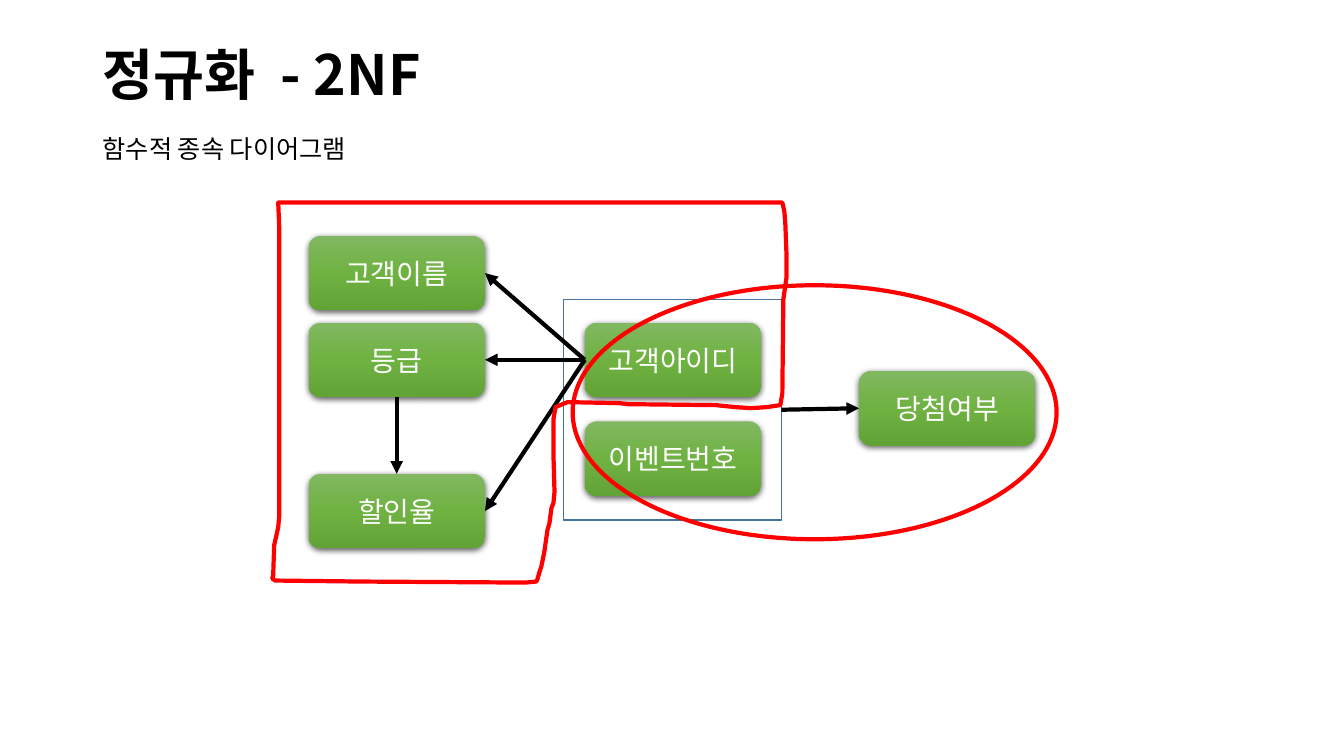
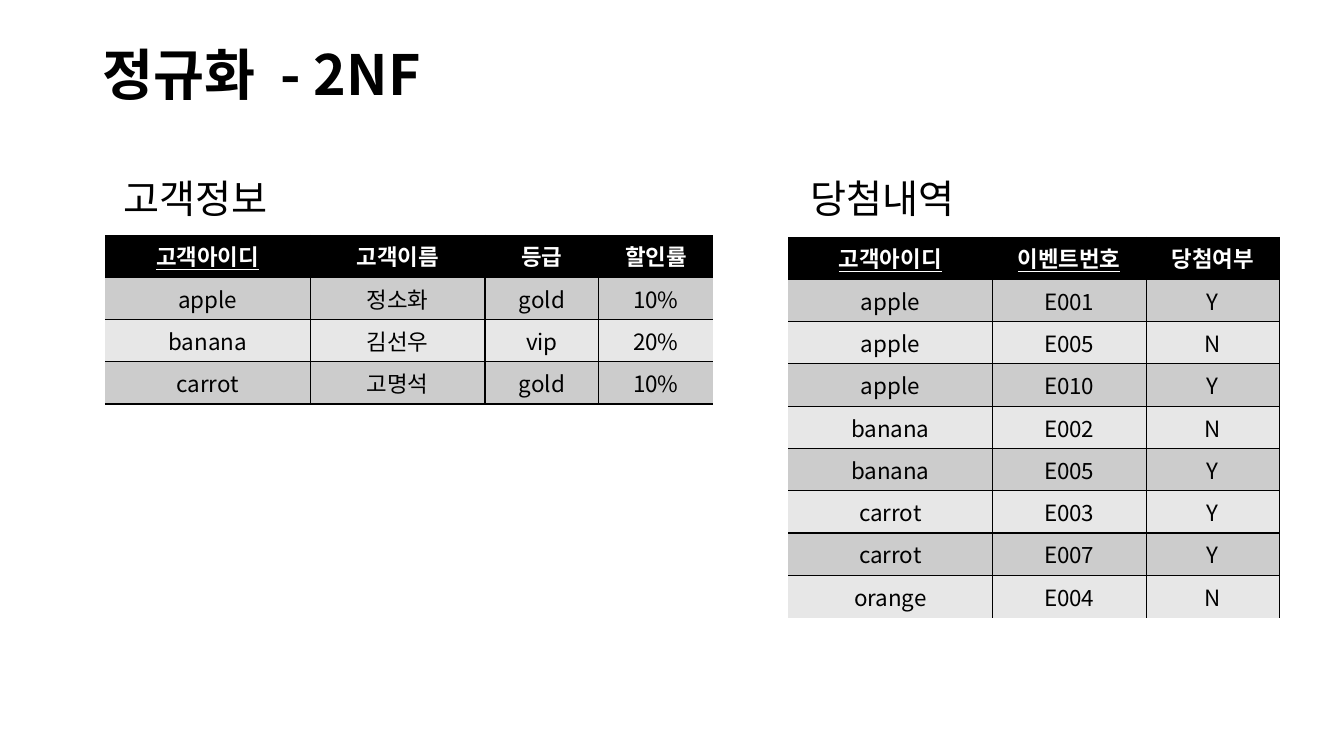
"""Build two slides on second normal form: a dependency diagram and its tables."""
from lxml.etree import SubElement
from pptx import Presentation
from pptx.dml.color import RGBColor
from pptx.enum.shapes import MSO_CONNECTOR, MSO_SHAPE
from pptx.enum.text import MSO_ANCHOR, PP_ALIGN
from pptx.oxml.ns import qn
from pptx.util import Inches, Pt

FONT = "Noto Sans CJK KR"
HEX = {
    "ink": "000000", "paper": "FFFFFF", "red": "FF0000", "frame": "43739E",
    "odd": "CCCCCC", "even": "E7E7E7",
    "top": "81B861", "mid": "6FB242", "low": "62A336",
}
SHADES = [(0, "top"), (50, "mid"), (100, "low")]

TITLE = ["정규화", " ", "- 2NF"]
NOTE = "함수적 종속 다이어그램"

WIDE, HIGH = 1.75, 0.74
LEFT, MID, RIGHT = 3.06, 5.8, 8.52
NODES = {
    "고객아이디": (MID, 3.2),
    "이벤트번호": (MID, 4.18),
    "당첨여부": (RIGHT, 3.68),
    "할인율": (LEFT, 4.7),
    "등급": (LEFT, 3.2),
    "고객이름": (LEFT, 2.34),
}
KEY = "복합키"
FRAME = (5.59, 2.97, 2.16, 2.19)
OVAL = (5.68, 2.83, 4.8, 2.52)
SITE = {"top": 0, "left": 1, "low": 2, "right": 3}
ARROWS = [
    (KEY, "right", "당첨여부", "left"),
    ("고객아이디", "left", "할인율", "right"),
    ("고객아이디", "left", "등급", "right"),
    ("고객아이디", "left", "고객이름", "right"),
    ("등급", "low", "할인율", "top"),
]
LASSO = [
    (276, 201), (277, 225), (277, 512), (276, 523), (272, 541), (271, 571),
    (270, 574), (273, 576), (358, 577), (521, 578), (532, 577), (533, 575),
    (535, 568), (537, 562), (540, 547), (541, 540), (543, 526), (545, 519),
    (547, 504), (549, 499), (550, 488), (549, 452), (549, 416), (551, 404),
    (558, 401), (563, 399), (614, 400), (623, 401), (710, 402), (730, 404),
    (745, 405), (760, 404), (774, 402), (775, 396), (776, 390), (777, 297),
    (779, 283), (780, 276), (780, 250), (779, 223), (778, 210), (776, 201),
]

ROW = 0.42
TABLES = [
    {
        "name": "고객정보", "label": 1.05, "at": (1.04, 2.33), "keys": 1,
        "edge": "B", "cols": [2.04, 1.73, 1.13, 1.13],
        "rows": [
            ("고객아이디", "고객이름", "등급", "할인률"),
            ("apple", "정소화", "gold", "10%"),
            ("banana", "김선우", "vip", "20%"),
            ("carrot", "고명석", "gold", "10%"),
        ],
    },
    {
        "name": "당첨내역", "label": 7.87, "at": (7.82, 2.35), "keys": 2,
        "edge": "R", "cols": [2.02, 1.53, 1.32],
        "rows": [
            ("고객아이디", "이벤트번호", "당첨여부"),
            ("apple", "E001", "Y"),
            ("apple", "E005", "N"),
            ("apple", "E010", "Y"),
            ("banana", "E002", "N"),
            ("banana", "E005", "Y"),
            ("carrot", "E003", "Y"),
            ("carrot", "E007", "Y"),
            ("orange", "E004", "N"),
        ],
    },
]


def rgb(name):
    return RGBColor.from_string(HEX[name])


def sub(node, tag, **attrs):
    return SubElement(node, qn("a:" + tag), attrs)


def style(run, size, hue="ink", bold=False, under=False):
    font = run.font
    font.size, font.name, font.bold, font.underline = Pt(size), FONT, bold, under
    font.color.rgb = rgb(hue)
    sub(run._r.get_or_add_rPr(), "ea", typeface=FONT)


def write(slide, box, text, size, align=PP_ALIGN.LEFT):
    frame = slide.shapes.add_textbox(*map(Inches, box)).text_frame
    frame.word_wrap = False
    para = frame.paragraphs[0]
    para.text, para.alignment = text, align
    style(para.runs[0], size)


def head(slide):
    frame = slide.shapes.add_textbox(*map(Inches, (0.92, 0.4, 11.5, 0.73))).text_frame
    frame.word_wrap = True
    frame.vertical_anchor = MSO_ANCHOR.MIDDLE
    para = frame.paragraphs[0]
    para.line_spacing = 0.9
    for part in TITLE:
        run = para.add_run()
        run.text = part
        style(run, 39.6, bold=True)
    para.runs[1]._r.get_or_add_rPr().set("spc", "900")


def outline(shape, hue, width):
    shape.shadow.inherit = False
    shape.fill.background()
    shape.line.color.rgb = rgb(hue)
    shape.line.width = Pt(width)
    return shape


def ring(slide, kind, box, hue, width):
    return outline(slide.shapes.add_shape(kind, *map(Inches, box)), hue, width)


def node(slide, text, x, y):
    box = map(Inches, (x, y, WIDE, HIGH))
    shape = slide.shapes.add_shape(MSO_SHAPE.ROUNDED_RECTANGLE, *box)
    shape.line.fill.background()
    shape.fill.gradient()
    shape.fill.gradient_angle = 270
    props = shape._element.spPr
    stops = props.find(qn("a:gradFill")).find(qn("a:gsLst"))
    stops.clear()
    for share, name in SHADES:
        sub(sub(stops, "gs", pos=str(share * 1000)), "srgbClr", val=HEX[name])
    shape.shadow.inherit = False
    shade = sub(props.find(qn("a:effectLst")), "outerShdw", blurRad=str(Pt(4.5)),
                dist=str(Pt(1.5)), dir="5400000", algn="ctr", rotWithShape="0")
    sub(sub(shade, "srgbClr", val=HEX["ink"]), "alpha", val="63000")
    frame = shape.text_frame
    frame.vertical_anchor = MSO_ANCHOR.MIDDLE
    para = frame.paragraphs[0]
    para.text, para.alignment = text, PP_ALIGN.CENTER
    style(para.runs[0], 20, "paper")
    return shape


def arrow(slide, start, out, end, into):
    link = slide.shapes.add_connector(MSO_CONNECTOR.STRAIGHT, 0, 0, 0, 0)
    link.begin_connect(start, SITE[out])
    link.end_connect(end, SITE[into])
    link.line.color.rgb = rgb("ink")
    link.line.width = Pt(3)
    sub(link.line._ln, "tailEnd", type="triangle")
    sub(link._element.spPr, "effectLst")


def border(cell, sides):
    props = cell._tc.get_or_add_tcPr()
    for side in "LRTB":
        line = sub(props, "ln" + side, w=str(Pt(1)))
        if side in sides:
            sub(sub(line, "solidFill"), "srgbClr", val=HEX["ink"])
        else:
            sub(line, "noFill")


def grid(slide, data):
    rows, cols = data["rows"], data["cols"]
    size = (sum(cols), ROW * len(rows))
    table = slide.shapes.add_table(
        len(rows), len(cols), *map(Inches, data["at"] + size)).table
    for col, width in zip(table.columns, cols):
        col.width = Inches(width)
    for r, row in enumerate(rows):
        table.rows[r].height = Inches(ROW)
        top = r == 0
        fill = "ink" if top else "odd" if r % 2 else "even"
        for c, text in enumerate(row):
            cell = table.cell(r, c)
            inner = {"L": c > 0, "R": c < len(cols) - 1,
                     "T": r > 0, "B": r < len(rows) - 1}
            border(cell, [s for s in inner if inner[s] or s in data["edge"]])
            cell.fill.solid()
            cell.fill.fore_color.rgb = rgb(fill)
            para = cell.text_frame.paragraphs[0]
            para.text, para.alignment = text, PP_ALIGN.CENTER
            style(para.runs[0], 16, "paper" if top else "ink", top,
                  top and c < data["keys"])


def diagram(slide):
    head(slide)
    write(slide, (0.92, 1.27, 2.99, 0.4), NOTE, 18)
    spots = {text: node(slide, text, *at) for text, at in NODES.items()}
    spots[KEY] = ring(slide, MSO_SHAPE.RECTANGLE, FRAME, "frame", 1)
    for start, out, end, into in ARROWS:
        arrow(slide, spots[start], out, spots[end], into)
    ring(slide, MSO_SHAPE.OVAL, OVAL, "red", 3)
    pen = slide.shapes.build_freeform(*LASSO[0], scale=Inches(0.01))
    pen.add_line_segments(LASSO[1:], close=True)
    outline(pen.convert_to_shape(), "red", 3)


def tables(slide):
    head(slide)
    for data in TABLES:
        grid(slide, data)
        write(slide, (data["label"], 1.68, 1.77, 0.57), data["name"], 28,
              PP_ALIGN.CENTER)


def main():
    deck = Presentation()
    deck.slide_width, deck.slide_height = Inches(13.33), Inches(7.5)
    for draw in (diagram, tables):
        draw(deck.slides.add_slide(deck.slide_layouts[6]))
    deck.save("out.pptx")


if __name__ == "__main__":
    main()
